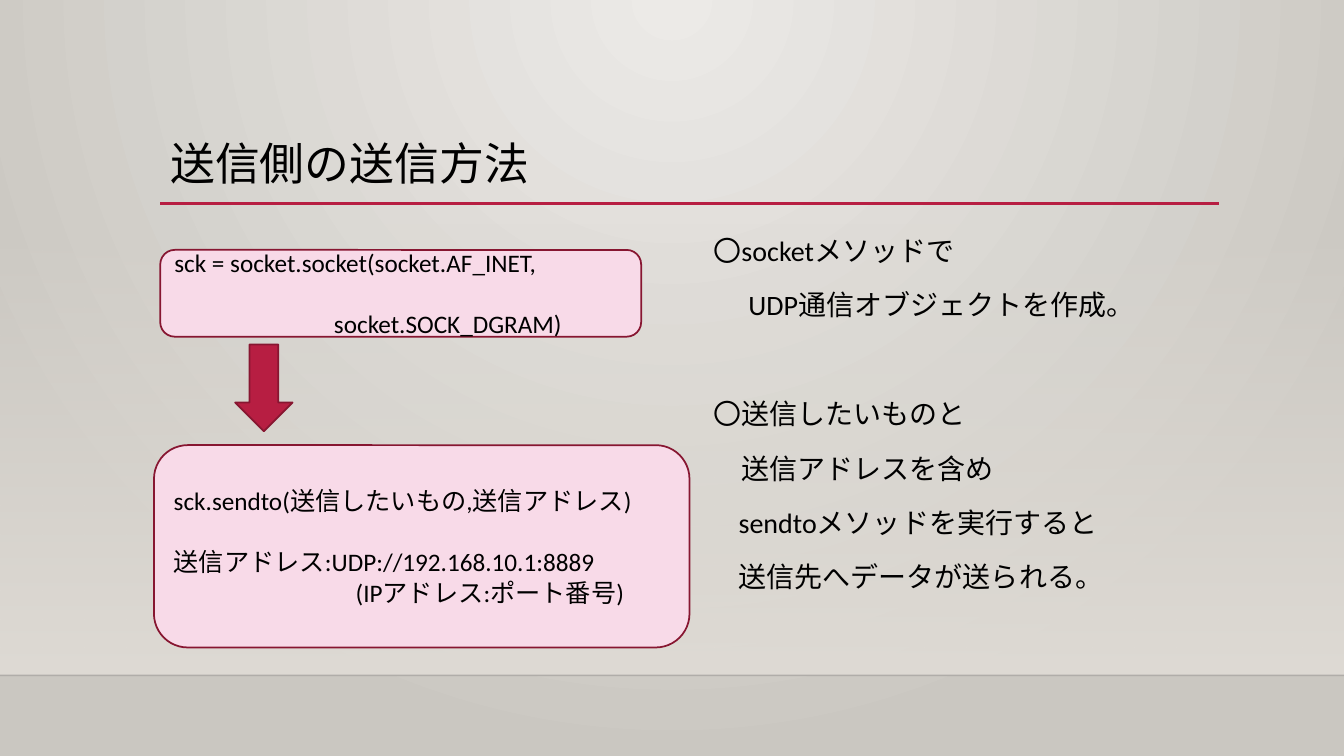
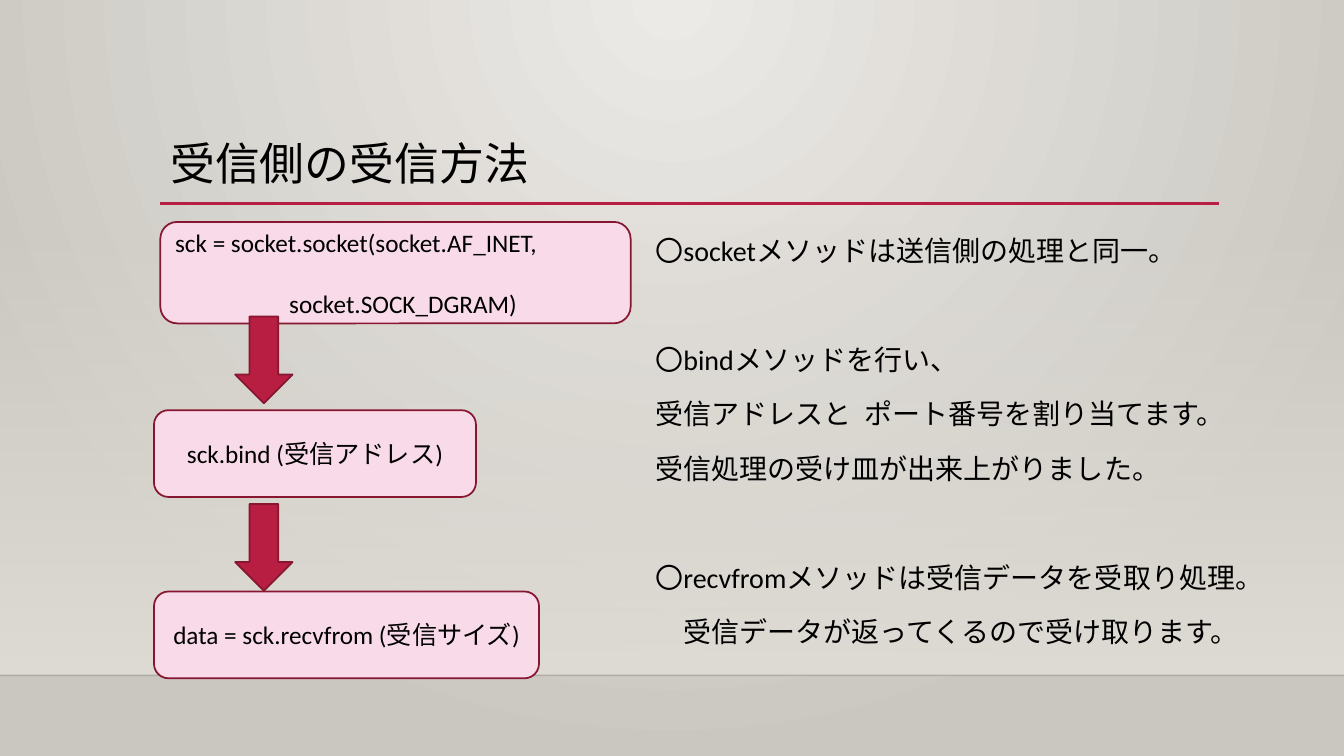
from pptx import Presentation
from pptx.dml.color import RGBColor
from pptx.enum.shapes import MSO_CONNECTOR, MSO_SHAPE
from pptx.enum.text import MSO_ANCHOR, MSO_AUTO_SIZE, PP_ALIGN
from pptx.oxml.ns import qn
from pptx.util import Pt
from lxml.etree import SubElement

# Colours
BLACK = RGBColor(0x00, 0x00, 0x00)
RULE = RGBColor(0x00, 0x00, 0x01)
RED = RGBColor(0xB7, 0x1E, 0x42)
WINE = RGBColor(0x87, 0x16, 0x31)
PINK = RGBColor(0xF8, 0xDA, 0xE8)
SAND = RGBColor(0xDF, 0xDB, 0xD5)
LIGHT = RGBColor(0xEC, 0xEA, 0xE7)
DARK = RGBColor(0xCA, 0xC7, 0xC1)

FONT = "Calibri"
WIDE, HIGH = 960, 540
FLOOR = 482.4
CODE_GAP = 22  # one empty line of code
NOTE_GAP = 49  # one empty line of notes


def write(frame, lines, size=18, align=PP_ALIGN.LEFT, anchor=MSO_ANCHOR.MIDDLE,
          space=1.0, before=0):
    """Fill a frame; each line is (text, indent, space before)."""
    frame.word_wrap = True
    frame.auto_size = MSO_AUTO_SIZE.NONE
    frame.vertical_anchor = anchor
    for i, (text, indent, gap) in enumerate(lines):
        para = frame.paragraphs[0] if i == 0 else frame.add_paragraph()
        para.alignment = align
        para.line_spacing = space
        para.space_before = Pt(gap or before)
        if indent:
            para._p.get_or_add_pPr().set("marL", str(Pt(indent)))
        run = para.add_run()
        run.text = text
        font = run.font
        font.name, font.size = FONT, Pt(size)
        font.color.rgb = BLACK


def fade(node, share):
    """Set the opacity of a colour, in percent."""
    SubElement(node, qn("a:alpha")).set("val", str(share * 1000))


def blend(fill, first, last):
    fill.gradient()
    for stop, tone in zip(fill.gradient_stops, (first, last)):
        stop.color.rgb = tone
        stop.position = 0 if tone is first and stop is not None else 1


class Deck:
    def __init__(self):
        self.prs = Presentation()
        self.prs.slide_width, self.prs.slide_height = Pt(WIDE), Pt(HIGH)
        self.slide = None
        self.paint()

    def paint(self):
        """Radial background, shared through the master."""
        master = self.prs.slide_master
        fill = master.background.fill
        fill.gradient()
        self.stops(fill, LIGHT, DARK)
        grad = next(master.element.iter(qn("a:gradFill")))
        grad.remove(grad.find(qn("a:lin")))
        way = SubElement(grad, qn("a:path"))
        way.set("path", "circle")
        rect = SubElement(way, qn("a:fillToRect"))
        for side, val in zip("ltrb", (43, 0, 43, 100)):
            rect.set(side, str(val * 1000))

    def stops(self, fill, *tones):
        for place, (stop, tone) in enumerate(zip(fill.gradient_stops, tones)):
            stop.color.rgb = tone
            stop.position = place

    def page(self, title):
        self.slide = self.prs.slides.add_slide(self.prs.slide_layouts[5])
        self.band()
        self.line(0, WIDE, FLOOR, RULE, 1, share=20)
        self.line(114.5, 871, 145.5, RED, 2.5)
        head = self.slide.shapes.title
        head.left, head.top, head.width, head.height = map(Pt, (114.5, 98, 756, 48))
        write(head.text_frame, [(title, 0, 0)], size=32,
              anchor=MSO_ANCHOR.TOP, space=0.9)

    def band(self):
        """Wall tint that fades in towards the floor."""
        wall = self.shape(MSO_SHAPE.RECTANGLE, 0, 159, WIDE, FLOOR - 159)
        wall.line.fill.background()
        wall.fill.gradient()
        wall.fill.gradient_angle = 270
        self.stops(wall.fill, SAND, SAND)
        fade(next(wall._element.iter(qn("a:srgbClr"))), 0)

    def line(self, left, right, y, tone, width, share=100):
        rule = self.slide.shapes.add_connector(
            MSO_CONNECTOR.STRAIGHT, Pt(left), Pt(y), Pt(right), Pt(y))
        rule.line.color.rgb = tone
        rule.line.width = Pt(width)
        if share < 100:
            fade(next(rule._element.iter(qn("a:srgbClr"))), share)
        SubElement(rule._element.spPr, qn("a:effectLst"))

    def shape(self, kind, left, top, width, height):
        item = self.slide.shapes.add_shape(kind, *map(Pt, (left, top, width, height)))
        item.shadow.inherit = False
        return item

    def solid(self, kind, tone, *place):
        item = self.shape(kind, *place)
        item.fill.solid()
        item.fill.fore_color.rgb = tone
        item.line.color.rgb = WINE
        item.line.width = Pt(1.25)
        return item

    def code(self, left, top, width, height, *lines, align=PP_ALIGN.LEFT):
        box = self.solid(MSO_SHAPE.ROUNDED_RECTANGLE, PINK, left, top, width, height)
        write(box.text_frame, lines, align=align)

    def arrow(self, top):
        self.solid(MSO_SHAPE.DOWN_ARROW, RED, 168, top, 41, 62)

    def notes(self, left, width, height, *lines):
        box = self.slide.shapes.add_textbox(*map(Pt, (left, 158.5, width, height)))
        write(box.text_frame, lines, size=20, anchor=MSO_ANCHOR.TOP,
              space=1.2, before=10)


def main():
    deck = Deck()
    make = "sck = socket.socket(socket.AF_INET,"
    kind = "socket.SOCK_DGRAM)"

    # Sender
    deck.page("送信側の送信方法")
    deck.notes(502.5, 368, 271.5,
               ("〇socketメソッドで", 0, 0),
               ("UDP通信オブジェクトを作成。", 25, 0),
               ("〇送信したいものと", 0, NOTE_GAP),
               ("送信アドレスを含め", 20, 0),
               ("sendtoメソッドを実行すると", 18, 0),
               ("送信先へデータが送られる。", 18, 0))
    deck.code(114.5, 178.5, 343.5, 62, (make, 0, 0), (kind, 114, CODE_GAP))
    deck.arrow(246)
    deck.code(110, 318, 382.5, 144.5,
              ("sck.sendto(送信したいもの,送信アドレス)", 0, 0),
              ("送信アドレス:UDP://192.168.10.1:8889", 0, CODE_GAP),
              ("(IPアドレス:ポート番号)", 130, 0))

    # Receiver
    deck.page("受信側の受信方法")
    deck.notes(461, 438.5, 325.5,
               ("〇socketメソッドは送信側の処理と同一。", 0, 0),
               ("〇bindメソッドを行い、", 0, NOTE_GAP),
               ("受信アドレスと  ポート番号を割り当てます。", 0, 0),
               ("受信処理の受け皿が出来上がりました。", 0, 0),
               ("〇recvfromメソッドは受信データを受取り処理。", 0, NOTE_GAP),
               ("受信データが返ってくるので受け取ります。", 20, 0))
    deck.code(114.5, 158.5, 336, 72.5, (make, 0, 0), (kind, 81.5, CODE_GAP))
    deck.arrow(226)
    deck.code(110, 293, 230, 62, ("sck.bind (受信アドレス)", 0, 0),
              align=PP_ALIGN.CENTER)
    deck.arrow(360)
    deck.code(110, 422.5, 275, 62, ("data = sck.recvfrom (受信サイズ)", 0, 0),
              align=PP_ALIGN.CENTER)

    deck.prs.save("out.pptx")


if __name__ == "__main__":
    main()
